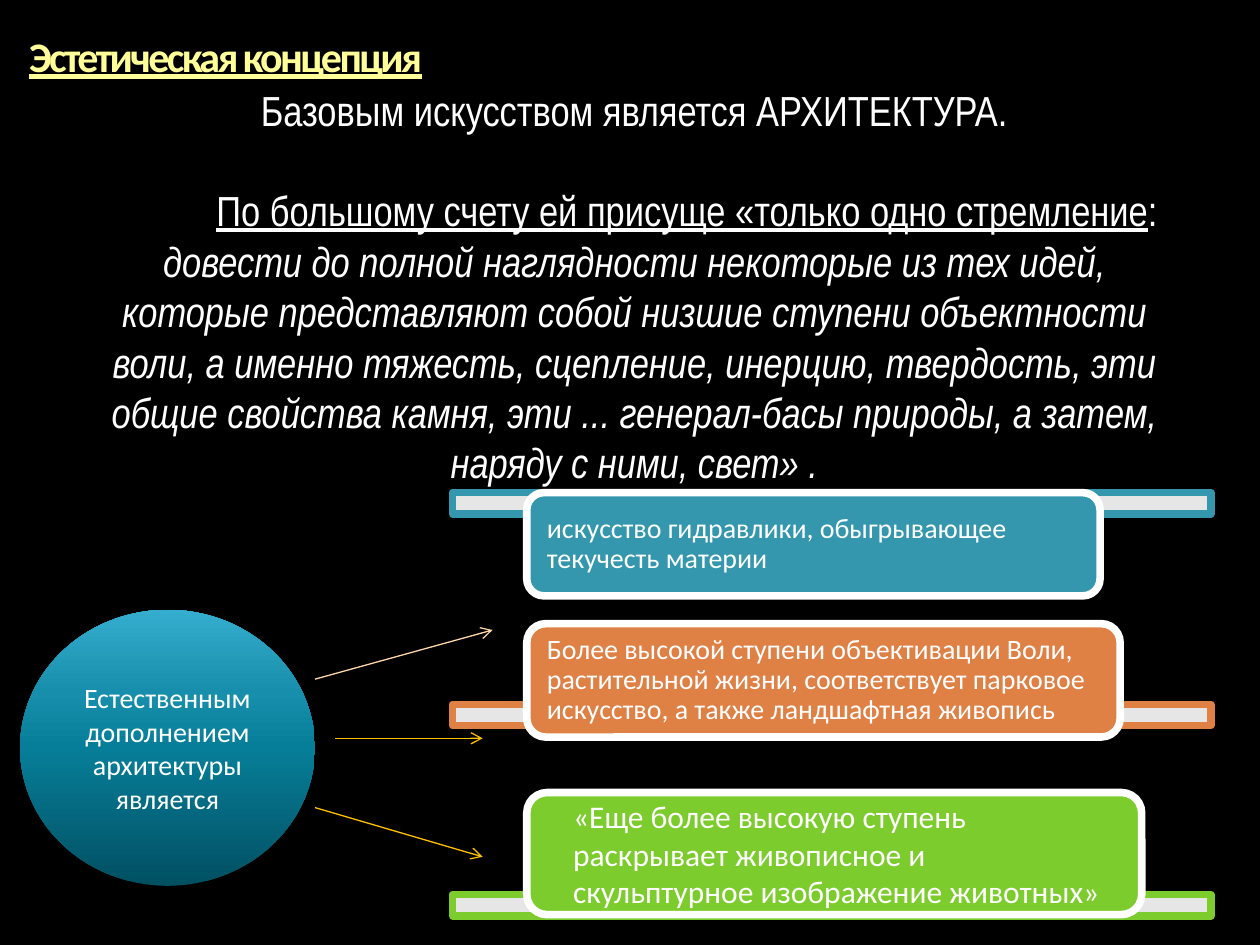
from lxml import etree
from pptx import Presentation
from pptx.dml.color import RGBColor
from pptx.enum.shapes import MSO_CONNECTOR, MSO_SHAPE
from pptx.enum.text import MSO_ANCHOR, MSO_AUTO_SIZE, PP_ALIGN
from pptx.oxml import parse_xml
from pptx.oxml.ns import nsdecls, qn
from pptx.util import Pt

LEFT, CENTER = PP_ALIGN.LEFT, PP_ALIGN.CENTER
TOP, MIDDLE = MSO_ANCHOR.TOP, MSO_ANCHOR.MIDDLE
STRAIGHT = MSO_CONNECTOR.STRAIGHT
RECTANGLE, ROUNDED, OVAL = MSO_SHAPE.RECTANGLE, MSO_SHAPE.ROUNDED_RECTANGLE, MSO_SHAPE.OVAL

BLACK = RGBColor(0x00, 0x00, 0x00)
WHITE = RGBColor(0xFF, 0xFF, 0xFF)
YELLOW = RGBColor(0xFF, 0xFF, 0x99)
TEAL = RGBColor(0x34, 0x97, 0xAE)
ORANGE = RGBColor(0xDF, 0x80, 0x45)
GREEN = RGBColor(0x7D, 0xCC, 0x2E)
PEACH = RGBColor(0xFF, 0xD6, 0xA9)
GOLD = RGBColor(0xFF, 0xC0, 0x00)
CIRCLE_STOPS = [
    (0, RGBColor(0x01, 0x50, 0x62)),
    (50, RGBColor(0x07, 0x7E, 0x99)),
    (70, RGBColor(0x17, 0x8E, 0xAB)),
    (100, RGBColor(0x35, 0xAD, 0xCE)),
]

TITLE = "Эстетическая концепция"
INTRO = "Базовым искусством является АРХИТЕКТУРА."
CLAIM = "По большому счету ей присуще «только одно стремление"
QUOTE = (
    "довести до полной наглядности некоторые из тех идей, которые представляют собой "
    "низшие ступени объектности воли, а именно тяжесть, сцепление, инерцию, твердость, "
    "эти общие свойства камня, эти ... генерал-басы природы, а затем, наряду с ними, свет» ."
)
CIRCLE_TEXT = "Естественным дополнением архитектуры является"

BAR_LEFT, BAR_WIDTH, BAR_HEIGHT = 258.5, 433.4, 12.2
CARD_LEFT = 301
CARDS = [
    dict(color=TEAL, bar_top=281.5, top=281.5, width=327.6, height=59, shift=0, inset=11.5,
         size=16, spacing=0.9, text="искусство гидравлики, обыгрывающее текучесть материи"),
    dict(color=ORANGE, bar_top=402.5, top=356.4, width=339.1, height=64.8, shift=0, inset=11.5,
         size=16, spacing=0.9, text="Более высокой ступени объективации Воли, растительной жизни, "
         "соответствует парковое искусство, а также ландшафтная живопись"),
    dict(color=GREEN, bar_top=511.2, top=452.9, width=351.4, height=69.8, shift=19.4, inset=7.2,
         size=18, spacing=1.0, text="«Еще более высокую ступень раскрывает живописное и "
         "скульптурное изображение животных»"),
]
ARROWS = [
    (180, 388.1, 281.5, 360, PEACH),
    (191.5, 421.9, 275.8, 421.9, GOLD),
    (180, 461.5, 275.8, 489.6, GOLD),
]


def points(*values):
    return [Pt(value) for value in values]


def set_frame(frame, anchor, side=7.2, edge=3.6):
    frame.word_wrap = True
    frame.auto_size = MSO_AUTO_SIZE.NONE
    frame.vertical_anchor = anchor
    frame.margin_left = frame.margin_right = Pt(side)
    frame.margin_top = frame.margin_bottom = Pt(edge)


def set_para(para, text, size, align=LEFT, font="Calibri", color=WHITE):
    para.text = text
    para.alignment = align
    para.font.name = font
    para.font.size = Pt(size)
    para.font.color.rgb = color


def add_block(page, kind, place, fill, line):
    block = page.shapes.add_shape(kind, *points(*place))
    block.shadow.inherit = False
    block.fill.solid()
    block.fill.fore_color.rgb = fill
    block.line.color.rgb = line
    block.line.width = Pt(4.33)
    return block


def add_title(page):
    title = page.shapes.title
    title.left, title.top, title.width, title.height = points(16.6, 16.6, 560.2, 33.8)
    set_frame(title.text_frame, MIDDLE, 0, 0)
    para = title.text_frame.paragraphs[0]
    set_para(para, TITLE, 24, color=YELLOW)
    para.line_spacing = 0.9
    para.font.bold = True
    para.font.underline = True
    para.runs[0].font.size = Pt(24)
    para.runs[0]._r.get_or_add_rPr().set("spc", "-150")


def add_statement(page):
    box = page.shapes.add_textbox(*points(44.6, 44.6, 635.8, 262.1))
    frame = box.text_frame
    set_frame(frame, TOP)
    intro, claim, quote = frame.paragraphs[0], frame.add_paragraph(), frame.add_paragraph()
    for para, text, align in ((intro, INTRO, CENTER), (claim, CLAIM, LEFT), (quote, QUOTE, CENTER)):
        set_para(para, text, 24, align, "Arial Narrow")
    claim.space_before = Pt(28.8)
    claim._p.get_or_add_pPr().set("indent", str(Pt(72)))
    claim.runs[0].font.underline = True
    claim.add_run().text = ":"
    quote.font.italic = True


def add_card(page, card):
    bar = add_block(page, RECTANGLE, (BAR_LEFT, card["bar_top"], BAR_WIDTH, BAR_HEIGHT),
                    WHITE, card["color"])
    white = bar.fill._xPr.find(qn("a:solidFill"))[0]
    etree.SubElement(white, qn("a:alpha")).set("val", "90000")
    top, width, height = card["top"], card["width"], card["height"]
    add_block(page, ROUNDED, (CARD_LEFT, top, width, height), card["color"], WHITE)
    shift = card["shift"]
    label = page.shapes.add_textbox(
        *points(CARD_LEFT + shift, top, width - 1.6 * shift, height))
    set_frame(label.text_frame, MIDDLE, card["inset"], 0)
    para = label.text_frame.paragraphs[0]
    set_para(para, card["text"], card["size"])
    para.line_spacing = card["spacing"]


def add_circle(page):
    circle = page.shapes.add_shape(OVAL, *points(11.5, 348.5, 168.5, 157.7))
    circle.shadow.inherit = False
    circle.line.fill.background()
    circle.fill.solid()
    stops = "".join(
        f'<a:gs pos="{place * 1000}"><a:srgbClr val="{color}"/></a:gs>'
        for place, color in CIRCLE_STOPS)
    gradient = parse_xml(
        f'<a:gradFill {nsdecls("a")} rotWithShape="1"><a:gsLst>{stops}</a:gsLst>'
        '<a:lin ang="16200000" scaled="0"/></a:gradFill>')
    properties = circle.fill._xPr
    properties.replace(properties.find(qn("a:solidFill")), gradient)
    set_frame(circle.text_frame, MIDDLE)
    set_para(circle.text_frame.paragraphs[0], CIRCLE_TEXT, 16, CENTER)


def add_arrow(page, x1, y1, x2, y2, color):
    arrow = page.shapes.add_connector(STRAIGHT, *points(x1, y1, x2, y2))
    arrow.line.color.rgb = color
    arrow.line.width = Pt(0.75)
    etree.SubElement(arrow.line._get_or_add_ln(), qn("a:tailEnd")).set("type", "arrow")
    etree.SubElement(arrow._element.spPr, qn("a:effectLst"))


def main():
    deck = Presentation()
    deck.slide_width, deck.slide_height = points(720, 540)
    page = deck.slides.add_slide(deck.slide_layouts[5])
    page.background.fill.solid()
    page.background.fill.fore_color.rgb = BLACK
    add_title(page)
    add_statement(page)
    for card in CARDS:
        add_card(page, card)
    add_circle(page)
    for arrow in ARROWS:
        add_arrow(page, *arrow)
    deck.save("out.pptx")


if __name__ == "__main__":
    main()
